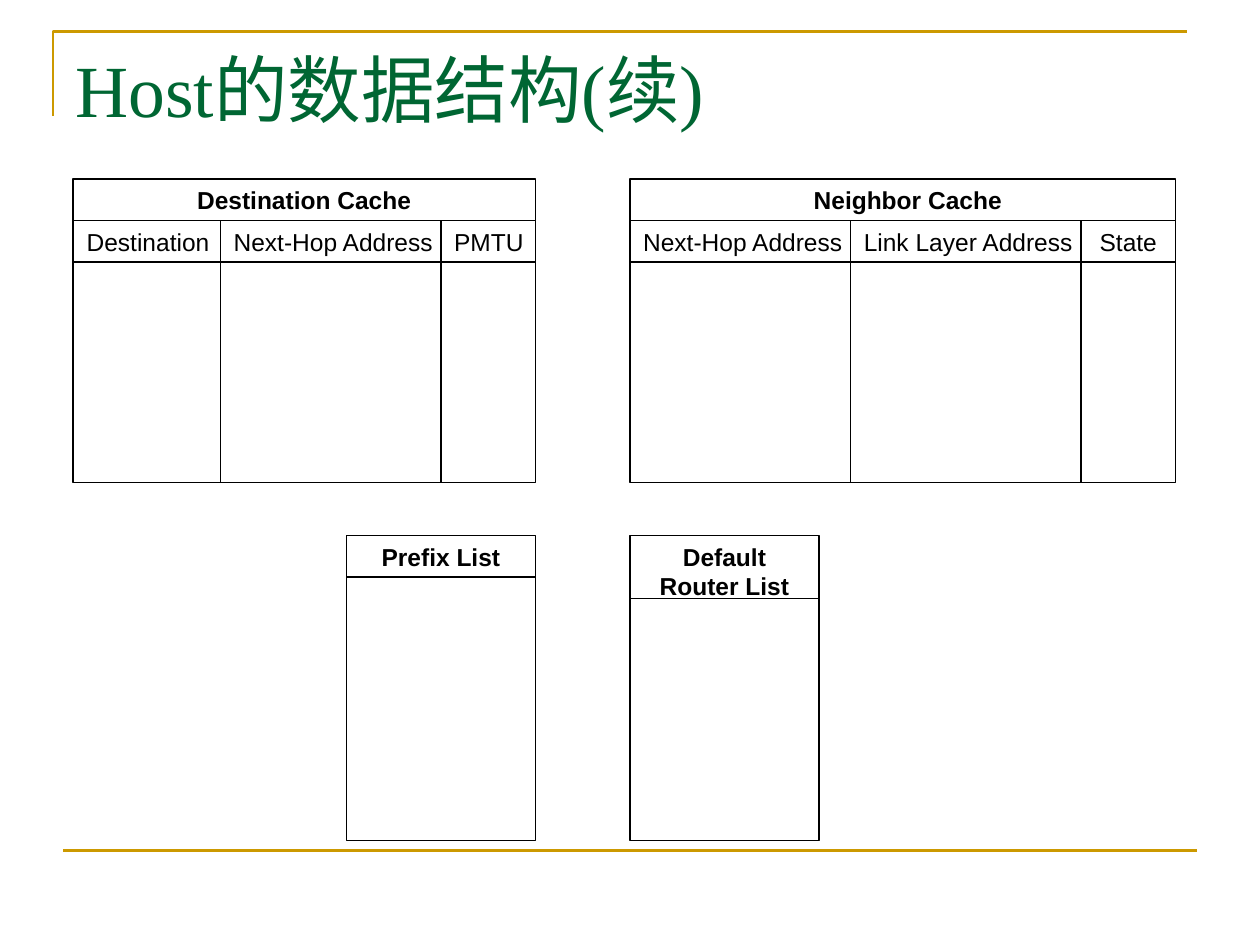
"""Build the slide showing the data structures kept by a host."""
import lxml.etree
import pptx
import pptx.dml.color
import pptx.enum.shapes
import pptx.enum.text
import pptx.oxml.ns
import pptx.util

Inches = pptx.util.Inches
BLACK = pptx.dml.color.RGBColor(0x00, 0x00, 0x00)
GREEN = pptx.dml.color.RGBColor(0x00, 0x66, 0x33)
GOLD = pptx.dml.color.RGBColor(0xCC, 0x99, 0x00)
CENTER = pptx.enum.text.PP_ALIGN.CENTER
LEFT = pptx.enum.text.PP_ALIGN.LEFT


def add_text(shapes, text, left, top, width, height, size=14, font="Arial",
             color=BLACK, bold=False, align=CENTER, wrap=True):
    box = shapes.add_textbox(Inches(left), Inches(top), Inches(width), Inches(height))
    box.text_frame.word_wrap = wrap
    if not wrap:
        box.text_frame.auto_size = pptx.enum.text.MSO_AUTO_SIZE.SHAPE_TO_FIT_TEXT
    paragraph = box.text_frame.paragraphs[0]
    paragraph.alignment = align
    run = paragraph.add_run()
    run.text = text
    run.font.size = pptx.util.Pt(size)
    run.font.name = font
    run.font.bold = bold
    run.font.color.rgb = color


def add_line(shapes, x1, y1, x2, y2, color=BLACK, weight=0.75):
    line = shapes.add_connector(pptx.enum.shapes.MSO_CONNECTOR.STRAIGHT,
                                Inches(x1), Inches(y1), Inches(x2), Inches(y2))
    line.line.color.rgb = color
    line.line.width = pptx.util.Pt(weight)
    properties = line._element.spPr
    lxml.etree.SubElement(properties, pptx.oxml.ns.qn("a:effectLst"))


presentation = pptx.Presentation()
presentation.slide_width = Inches(10)
presentation.slide_height = Inches(7.5)
slide = presentation.slides.add_slide(presentation.slide_layouts[6])

builder = slide.shapes.build_freeform(Inches(0.42), Inches(0.92), scale=1.0)
builder.add_line_segments([(Inches(0.42), Inches(0.25)), (Inches(9.42), Inches(0.25))],
                          close=False)
corner = builder.convert_to_shape()
corner.shadow.inherit = False
corner.fill.background()
corner.line.color.rgb = GOLD
corner.line.width = pptx.util.Pt(1.5)
add_line(slide.shapes, 0.5, 6.75, 9.5, 6.75, GOLD, 1.5)

add_text(slide.shapes, "Host的数据结构(续)", 0.5, 0.3, 9, 1.25, size=42,
         font="Times New Roman", color=GREEN, align=LEFT)

structures = [
    ("Prefix List", 2.75, 2.75, 4.25, 4.25, 4.58, 6.67, []),
    ("Default Router List", 5, 5, 6.5, 4.25, 4.75, 6.67, []),
    ("Destination Cache", 0.58, 0.58, 4.25, 1.42, 1.75, 3.83,
     [("Destination", 0.58, 1.19), ("Next-Hop Address", 1.75, 1.79), ("PMTU", 3.5, 0.76)]),
    ("Neighbor Cache", 5.08, 5, 9.33, 1.42, 1.75, 3.83,
     [("Next-Hop Address", 5, 1.79), ("Link Layer Address", 6.75, 1.87), ("State", 8.58, 0.75)]),
]
for title, title_left, left, right, top, header_bottom, bottom, columns in structures:
    shapes = slide.shapes.add_group_shape().shapes
    title_height = 0.34 if columns else 0.57
    add_text(shapes, title, title_left, top, right - title_left, title_height, bold=True)
    for upper, lower in [(header_bottom, bottom), (top, header_bottom)]:
        shape = shapes.add_shape(pptx.enum.shapes.MSO_SHAPE.RECTANGLE, Inches(left),
                                 Inches(upper), Inches(right - left), Inches(lower - upper))
        shape.shadow.inherit = False
        shape.fill.background()
        shape.line.color.rgb = BLACK
        shape.line.width = pptx.util.Pt(0.75)
    if columns:
        add_line(shapes, left, 2.08, right, 2.08)
    for label, column_left, width in columns:
        if column_left > left:
            add_line(shapes, column_left, header_bottom, column_left, bottom)
        add_text(shapes, label, column_left, header_bottom, width, 0.34, wrap=False)

presentation.save("out.pptx")
